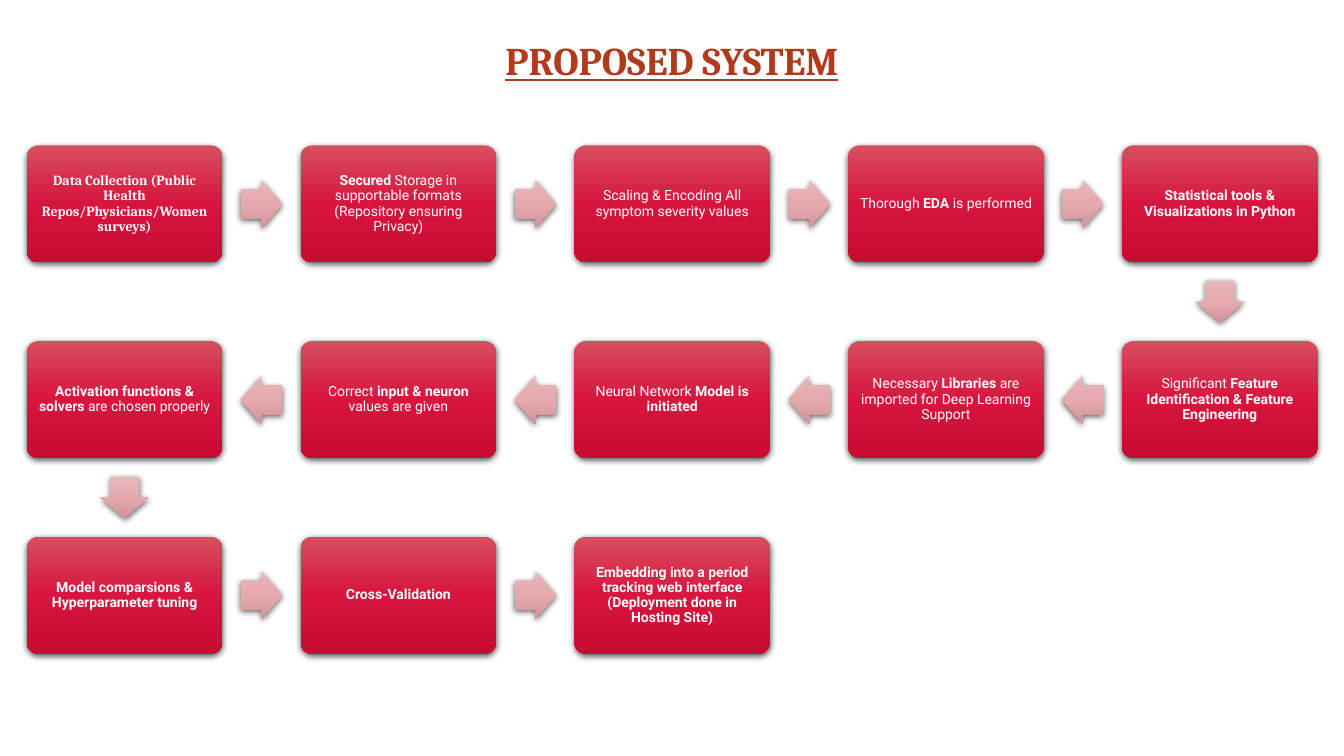
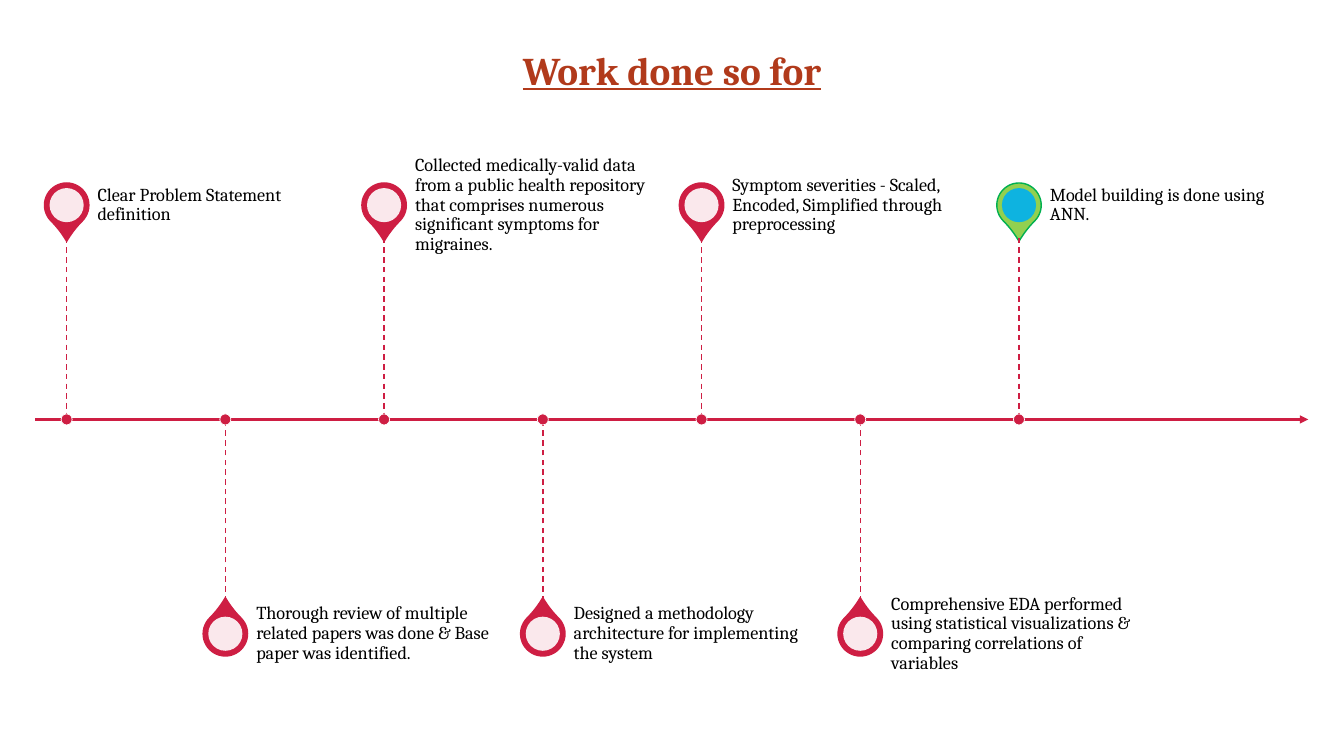
from itertools import pairwise

from lxml import etree
from pptx import Presentation
from pptx.dml.color import RGBColor
from pptx.enum.dml import MSO_LINE
from pptx.enum.shapes import MSO_CONNECTOR, MSO_SHAPE
from pptx.enum.text import MSO_ANCHOR, PP_ALIGN
from pptx.oxml import parse_xml
from pptx.oxml.ns import nsdecls, qn
from pptx.util import Cm, Pt

DASH = MSO_LINE.DASH
LINE = MSO_CONNECTOR.STRAIGHT
CARD, ARROW = MSO_SHAPE.ROUNDED_RECTANGLE, MSO_SHAPE.RIGHT_ARROW
DROP, OVAL = MSO_SHAPE.TEAR, MSO_SHAPE.OVAL
MIDDLE = MSO_ANCHOR.MIDDLE
LEFT, CENTER = PP_ALIGN.LEFT, PP_ALIGN.CENTER

RUST, RED, WHITE, BLACK = "B13A1B", "CE1E43", "FFFFFF", "000000"
LIME, GREEN, BLUE = "92D050", "00B050", "00B0F0"
DEEP = ("D84E5F", "D7153E", "C70B32")
PALE = ("E8B7BB", "E6A9AE", "D09397")
SERIF, SANS = "Cambria", "Roboto"
WIDE, HIGH = 33.87, 19.05

STEPS = [
    "*Data Collection (Public Health Repos/Physicians/Women surveys)*",
    "*Secured *Storage in supportable formats (Repository ensuring Privacy)",
    "Scaling & Encoding All symptom severity values",
    "Thorough *EDA *is performed",
    "*Statistical tools & Visualizations in Python*",
    "Significant *Feature Identification & Feature Engineering*",
    "Necessary *Libraries *are imported for Deep Learning Support",
    "Neural Network *Model is initiated*",
    "Correct *input & neuron *values are given",
    "*Activation functions & solvers *are chosen properly",
    "*Model comparsions & Hyperparameter tuning*",
    "*Cross-Validation*",
    "*Embedding into a period tracking web interface (Deployment done in Hosting Site)*",
]
EVENTS = [
    "Clear Problem Statement definition",
    "Thorough review of multiple related papers was done & Base paper was identified.",
    "Collected medically-valid data from a public health repository that comprises numerous significant symptoms for migraines.",
    "Designed a methodology architecture for implementing the system",
    "Symptom severities - Scaled, Encoded, Simplified through preprocessing",
    "Comprehensive EDA performed using statistical visualizations & comparing correlations of variables",
    "Model building is done using ANN.",
]


def color(code):
    return RGBColor.from_string(code)


def write(frame, text, size=10, font=SANS, ink=WHITE, align=CENTER, space=0.9,
          under=False, pad=(0.1, 0.1, 0.1, 0.1)):
    frame.word_wrap = True
    frame.vertical_anchor = MIDDLE
    (frame.margin_left, frame.margin_top,
     frame.margin_right, frame.margin_bottom) = map(Cm, pad)
    para = frame.paragraphs[0]
    para.alignment, para.line_spacing = align, space
    for i, part in enumerate(text.split("*")):
        if part:
            run = para.add_run()
            run.text = part
            face = run.font
            face.size, face.name, face.color.rgb = Pt(size), font, color(ink)
            face.bold, face.underline = i % 2 == 1, under


class Deck:
    """Slide builder holding the shared style; x and y are centres in cm."""

    def __init__(self):
        self.file = Presentation()
        self.file.slide_width, self.file.slide_height = Cm(WIDE), Cm(HIGH)

    def page(self, title, y):
        self.shapes = self.file.slides.add_slide(self.file.slide_layouts[6]).shapes
        self.label(title, WIDE / 2 - 6, y, 12, 1.45, size=28, ink=RUST,
                   align=CENTER, space=1, under=True)

    def label(self, text, left, y, w, h, **style):
        box = self.shapes.add_textbox(Cm(left), Cm(y - h / 2), Cm(w), Cm(h))
        write(box.text_frame, text, font=SERIF, **style)

    def shape(self, kind, x, y, w, h, adjust=(), turn=0):
        item = self.shapes.add_shape(kind, Cm(x - w / 2), Cm(y - h / 2), Cm(w), Cm(h))
        item.shadow.inherit = False
        item.rotation = turn
        for i, value in enumerate(adjust):
            item.adjustments[i] = value
        item.line.fill.background()
        return item

    def solid(self, kind, x, y, size, fill, edge=None, weight=1, alpha=None, **form):
        item = self.shape(kind, x, y, size, size, **form)
        item.fill.solid()
        item.fill.fore_color.rgb = color(fill)
        if edge:
            item.line.color.rgb, item.line.width = color(edge), Pt(weight)
        if alpha:
            tone = item.fill._xPr.find(qn("a:solidFill"))[0]
            etree.SubElement(tone, qn("a:alpha"), val=str(alpha * 1000))

    def glossy(self, kind, x, y, w, h, tones, **form):
        item = self.shape(kind, x, y, w, h, **form)
        stops = "".join(f'<a:gs pos="{i * 50000}"><a:srgbClr val="{tone}"/></a:gs>'
                        for i, tone in enumerate(tones))
        props = item._element.spPr
        props.find(qn("a:prstGeom")).addnext(parse_xml(
            f'<a:gradFill {nsdecls("a")} rotWithShape="0"><a:gsLst>{stops}</a:gsLst>'
            '<a:lin ang="5400000" scaled="0"/></a:gradFill>'))
        props.find(qn("a:effectLst")).append(parse_xml(
            f'<a:outerShdw {nsdecls("a")} blurRad="57150" dist="19050" dir="5400000" '
            'algn="ctr" rotWithShape="0"><a:srgbClr val="000000">'
            '<a:alpha val="63000"/></a:srgbClr></a:outerShdw>'))
        return item

    def line(self, x1, y1, x2, y2, weight=1, dash=None, head=False):
        item = self.shapes.add_connector(LINE, Cm(x1), Cm(y1), Cm(x2), Cm(y2))
        item.line.color.rgb, item.line.width = color(RED), Pt(weight)
        if dash:
            item.line.dash_style = dash
        if head:
            etree.SubElement(item.line._get_or_add_ln(), qn("a:tailEnd"), type="triangle")
        etree.SubElement(item._element.spPr, qn("a:effectLst"))

    def pin(self, text, x, axis, side, fill, edge, core):
        y = axis + side * 5.4
        self.solid(DROP, x, y, 1.12, fill, edge, adjust=[1.15],
                   turn=135 if side < 0 else 315)
        self.solid(OVAL, x, y, 0.86, core, alpha=90)
        self.label(text, x + 0.78, y, 6.48, 1.6, size=13, ink=BLACK, align=LEFT,
                   pad=(0, 0, 0.23, 0))
        self.line(x, axis + side * 4.58, x, axis, dash=DASH)
        self.solid(OVAL, x, axis, 0.28, RED, WHITE, 0.5)


def flow(deck):
    deck.page("*PROPOSED SYSTEM*", 1.51)
    spots = []
    for i, step in enumerate(STEPS):
        row, col = divmod(i, 5)
        col = 4 - col if row % 2 else col
        x, y = 3.14 + col * 6.9, 5.14 + row * 4.93
        spots.append((x, y))
        card = deck.glossy(CARD, x, y, 4.93, 2.95, DEEP, adjust=[0.1])
        write(card.text_frame, step, font=SANS if i else SERIF)
    for (x1, y1), (x2, y2) in pairwise(spots):
        turn = 90 if y2 > y1 else 0 if x2 > x1 else 180
        deck.glossy(ARROW, (x1 + x2) / 2, (y1 + y2) / 2, 1.04, 1.22, PALE,
                    adjust=[0.6, 0.5], turn=turn)


def history(deck):
    deck.page("*Work done so for*", 1.75)
    axis = 10.57
    deck.line(0.89, axis, 32.97, axis, weight=1.5, head=True)
    for i, event in enumerate(EVENTS):
        last = i == len(EVENTS) - 1
        tones = (LIME, GREEN, BLUE) if last else (RED, RED, WHITE)
        deck.pin(event, 1.68 + i * 4, axis, 1 if i % 2 else -1, *tones)


def main():
    deck = Deck()
    flow(deck)
    history(deck)
    deck.file.save("out.pptx")


if __name__ == "__main__":
    main()
